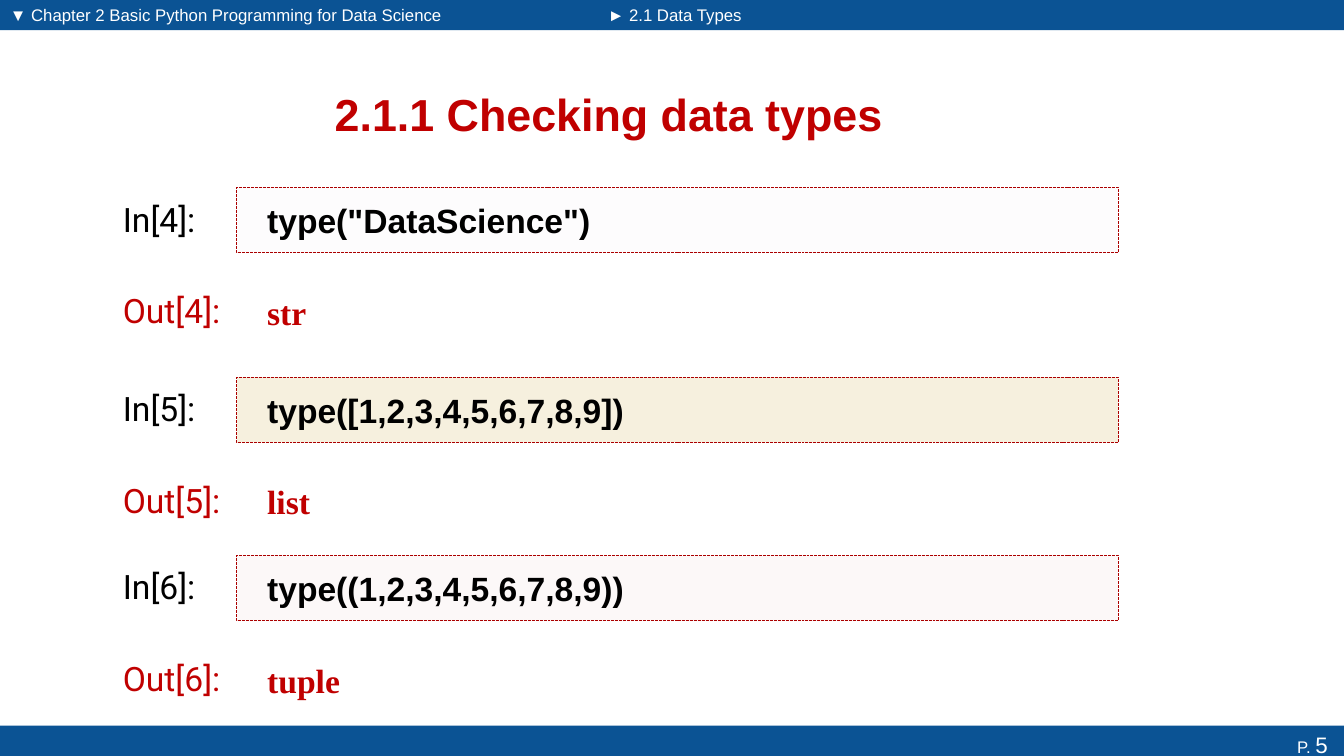
from dataclasses import dataclass

from lxml.etree import SubElement
from pptx import Presentation
from pptx.dml.color import RGBColor as Color
from pptx.enum.dml import MSO_LINE_DASH_STYLE as Dash
from pptx.enum.shapes import MSO_SHAPE as Shape
from pptx.enum.text import MSO_ANCHOR as Anchor, MSO_AUTO_SIZE as AutoSize, PP_ALIGN as Align
from pptx.oxml.ns import qn
from pptx.util import Inches, Pt


@dataclass(frozen=True)
class Theme:
    bar: str = "0B5394"
    white: str = "FFFFFF"
    black: str = "000000"
    red: str = "C00000"
    border: str = "AB0000"
    sans: str = "Arial"
    label_face: str = "Roboto"
    result_face: str = "Times New Roman"
    title_size: int = 32
    code_size: int = 24
    page_size: int = 16
    small_size: int = 12
    tint_alpha: int = 13000  # thousandths of a percent


class SlideBuilder:
    def __init__(self, page, theme):
        self.page = page
        self.theme = theme

    def style(self, font, size, color, face=None, bold=False):
        font.name = face or self.theme.sans
        font.size = Pt(size)
        font.bold = bold
        font.color.rgb = Color.from_string(color)

    def fill_text(self, box, text, size, color, face=None, bold=False,
                  align=Align.LEFT, anchor=Anchor.MIDDLE, inset=0.1):
        frame = box.text_frame
        frame.word_wrap = True
        frame.auto_size = AutoSize.NONE
        frame.vertical_anchor = anchor
        frame.margin_left = Inches(inset)
        frame.margin_right = Inches(0.1)
        frame.margin_top = frame.margin_bottom = Inches(0.05)
        para = frame.paragraphs[0]
        para.text = text
        para.alignment = align
        self.style(para.font, size, color, face, bold)
        return para

    def title(self, text, left, top, width, height):
        box = self.page.shapes.title
        box.left, box.top = Inches(left), Inches(top)
        box.width, box.height = Inches(width), Inches(height)
        self.fill_text(box, text, self.theme.title_size, self.theme.red,
                       bold=True, align=Align.CENTER)

    def text(self, parent, text, left, top, width, height, *args, **kwargs):
        box = parent.shapes.add_textbox(*map(Inches, (left, top, width, height)))
        self.fill_text(box, text, *args, **kwargs)

    def rect(self, parent, left, top, width, height, fill):
        box = parent.shapes.add_shape(
            Shape.RECTANGLE, *map(Inches, (left, top, width, height)))
        box.shadow.inherit = False
        box.fill.solid()
        box.fill.fore_color.rgb = Color.from_string(fill)
        box.line.fill.background()
        return box

    def code_box(self, parent, code, left, top, width, height, tint):
        box = self.rect(parent, left, top, width, height, tint)
        # Transparent tint
        tint_node = box.element.spPr.find(qn("a:solidFill"))[0]
        SubElement(tint_node, qn("a:alpha")).set("val", str(self.theme.tint_alpha))
        # Dashed border
        box.line.color.rgb = Color.from_string(self.theme.border)
        box.line.width = Pt(0.7)
        box.line.dash_style = Dash.SQUARE_DOT
        self.fill_text(box, code, self.theme.code_size, self.theme.black,
                       bold=True, inset=0.3)

    def cell(self, number, top, code, tint, result):
        """One input and its output."""
        theme = self.theme
        group = self.page.shapes.add_group_shape()
        label_left, code_left, code_width, code_height = 1.12, 2.35, 8.74, 0.65
        result_top = top + 0.91
        self.text(group, f"In[{number}]:", label_left, top + 0.06, 1.11, 0.5,
                  theme.code_size, theme.black, theme.label_face, anchor=Anchor.TOP)
        self.code_box(group, code, code_left, top, code_width, code_height, tint)
        self.text(group, f"Out[{number}]:", label_left, result_top + 0.06, 1.35, 0.5,
                  theme.code_size, theme.red, theme.label_face, anchor=Anchor.TOP)
        self.text(group, result, code_left, result_top, code_width, code_height,
                  theme.code_size, theme.red, theme.result_face, bold=True, inset=0.3)

    def header(self, text, left, bar_width, text_width):
        self.rect(self.page, left, 0, bar_width, 0.3, self.theme.bar)
        self.text(self.page, text, left, 0, text_width, 0.29,
                  self.theme.small_size, self.theme.white, anchor=Anchor.TOP)

    def footer(self, number):
        theme = self.theme
        bar = self.rect(self.page, 0, 7.2, 13.33, 0.37, theme.bar)
        para = self.fill_text(bar, "P. ", theme.small_size, theme.white, align=Align.RIGHT)
        span = para.add_run()
        span.text = f"{number} "
        self.style(span.font, theme.page_size, theme.white)


def main():
    deck = Presentation()
    deck.slide_width, deck.slide_height = Inches(13.33), Inches(7.5)
    page = deck.slides.add_slide(deck.slide_layouts[5])
    builder = SlideBuilder(page, Theme())

    # Header and footer bars
    builder.header("▼ Chapter 2 Basic Python Programming for Data Science", 0, 5.93, 4.83)
    builder.header("► 2.1 Data Types", 5.93, 7.4, 2.38)
    builder.footer(5)

    # Title
    builder.title("2.1.1 Checking data types", 0.68, 0.68, 10.72, 0.9)

    # Notebook cells: top, code, tint, result
    cells = [
        (1.86, 'type("DataScience")', "F1EEF4", "str"),
        (3.74, "type([1,2,3,4,5,6,7,8,9])", "BF9000", "list"),
        (5.51, "type((1,2,3,4,5,6,7,8,9))", "EDCDCB", "tuple"),
    ]
    for number, cell in enumerate(cells, start=4):
        builder.cell(number, *cell)

    deck.save("out.pptx")


if __name__ == "__main__":
    main()
